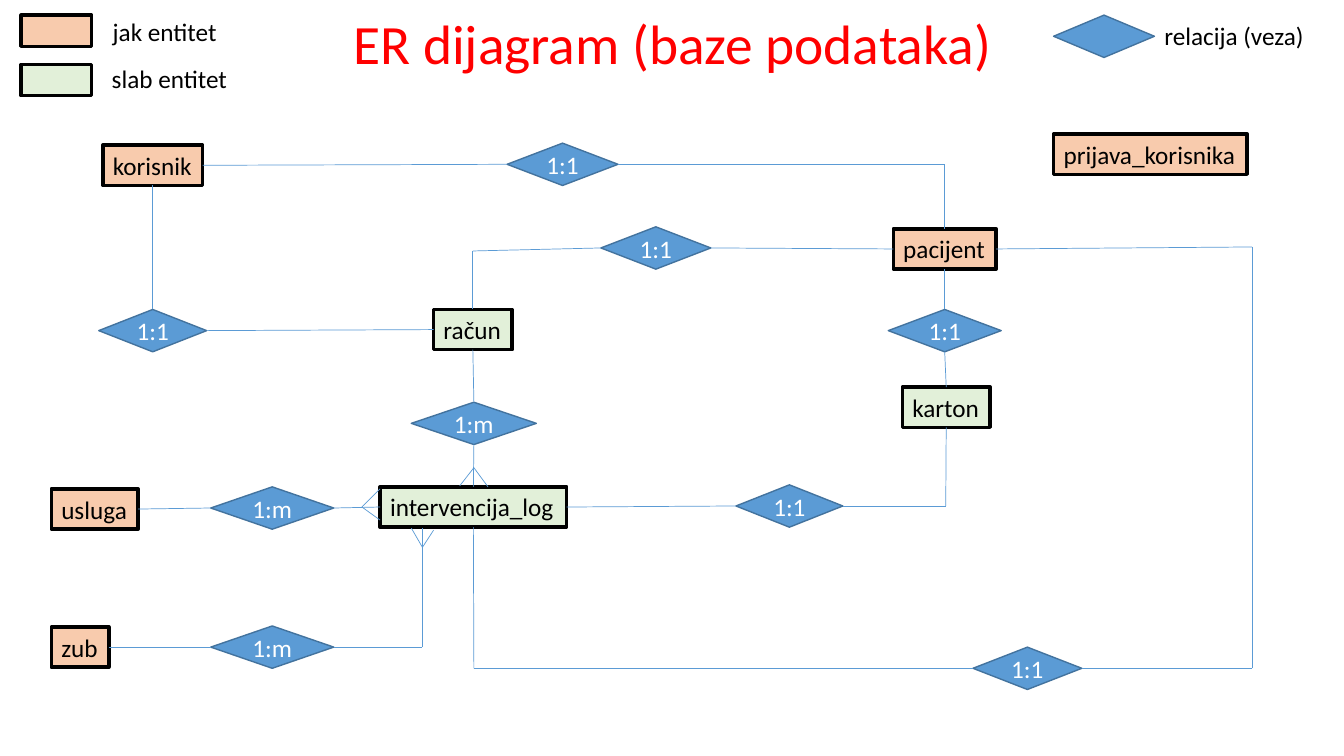
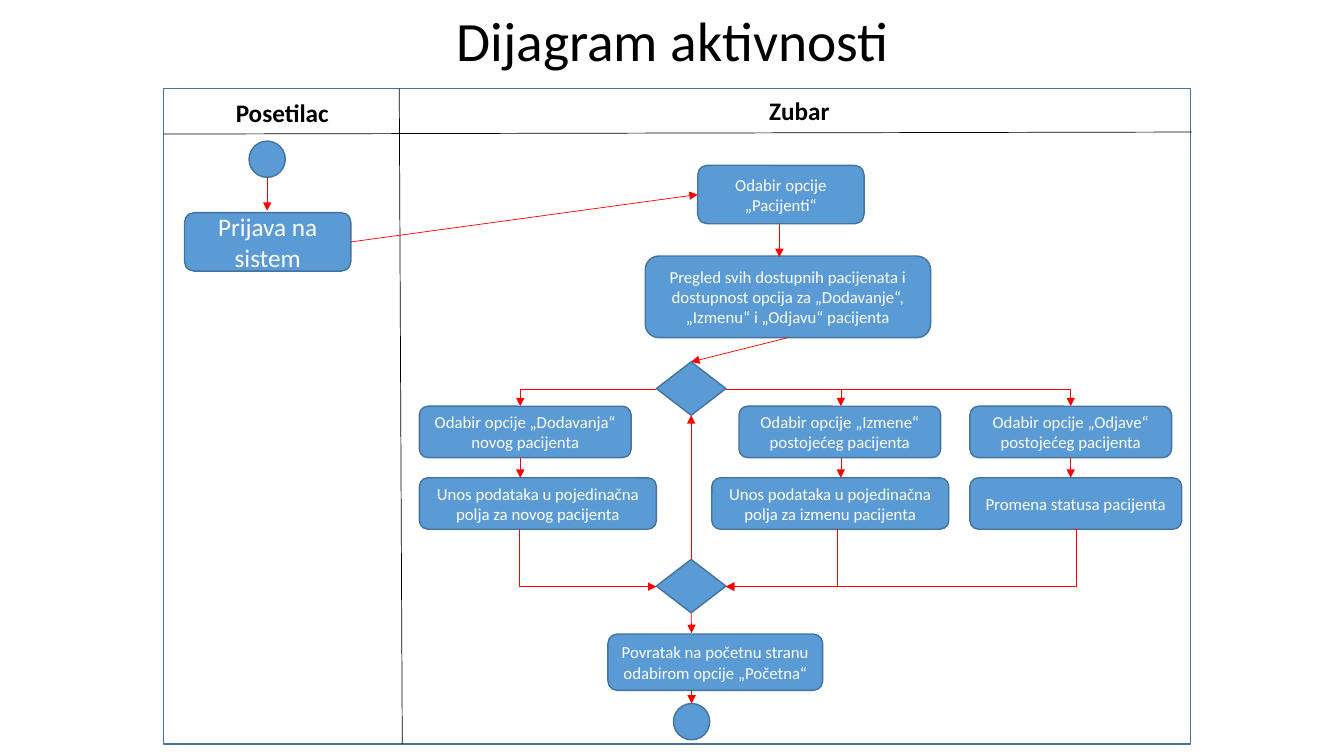
from lxml.etree import SubElement
from pptx import Presentation
from pptx.dml.color import RGBColor
from pptx.enum.shapes import MSO_CONNECTOR, MSO_SHAPE
from pptx.enum.text import MSO_ANCHOR, PP_ALIGN
from pptx.oxml.ns import qn
from pptx.shapes.base import BaseShape
from pptx.util import Inches, Pt

BLACK = RGBColor(0x00, 0x00, 0x00)
WHITE = RGBColor(0xFF, 0xFF, 0xFF)
RED = RGBColor(0xFF, 0x00, 0x00)
BLUE = RGBColor(0x5B, 0x9B, 0xD5)
DARK_BLUE = RGBColor(0x43, 0x73, 0x9E)
STRONG = RGBColor(0xF8, 0xCB, 0xAD)
WEAK = RGBColor(0xE2, 0xF0, 0xD9)
FONT = "Calibri"
TOP, LEFT, BOTTOM, RIGHT = range(4)


def write(frame, text, size=18, color=BLACK, bold=False, align=PP_ALIGN.LEFT,
          anchor=MSO_ANCHOR.TOP, wrap=False, spacing=1.0):
    """Put formatted text into a text frame."""
    frame.word_wrap = wrap
    frame.vertical_anchor = anchor
    paragraph = frame.paragraphs[0]
    paragraph.alignment = align
    paragraph.line_spacing = spacing
    run = paragraph.add_run()
    run.text = text
    run.font.name = FONT
    run.font.size = Pt(size)
    run.font.bold = bold
    run.font.color.rgb = color


class Diagram:
    """Draw styled diagram elements on the current slide."""

    def __init__(self, presentation):
        self.presentation = presentation
        self.slide = None

    def start(self, title, top, color):
        """Add a slide with its title."""
        self.slide = self.presentation.slides.add_slide(self.presentation.slide_layouts[6])
        self.label(title, 0.92, top, 11.5, 0.62, size=39.6, color=color, wrap=True,
                   align=PP_ALIGN.CENTER, anchor=MSO_ANCHOR.MIDDLE, spacing=0.9)

    def label(self, text, left, top, width, height=0.4, **style):
        """Add a text box."""
        box = self.slide.shapes.add_textbox(*map(Inches, (left, top, width, height)))
        write(box.text_frame, text, **style)

    def shape(self, kind, left, top, width, height, fill=BLUE, line=DARK_BLUE, weight=1):
        """Add a filled and outlined shape."""
        shape = self.slide.shapes.add_shape(kind, *map(Inches, (left, top, width, height)))
        shape.shadow.inherit = False
        shape.fill.solid()
        shape.fill.fore_color.rgb = fill
        shape.line.color.rgb = line
        shape.line.width = Pt(weight)
        return shape

    def entity(self, text, left, top, width, fill, height=0.4):
        """Add an entity box."""
        shape = self.shape(MSO_SHAPE.RECTANGLE, left, top, width, height, fill, BLACK, 2.5)
        if text:
            write(shape.text_frame, text)
        return shape

    def diamond(self, text, left, top, width, height=0.42):
        """Add a relation or decision diamond."""
        shape = self.shape(MSO_SHAPE.FLOWCHART_DECISION, left, top, width, height)
        if text:
            self.caption(shape, text)
        return shape

    def activity(self, text, left, top, width, height=0.51, size=12):
        """Add a rounded activity box."""
        shape = self.shape(MSO_SHAPE.ROUNDED_RECTANGLE, left, top, width, height)
        self.caption(shape, text, size)
        return shape

    def circle(self, left, top):
        """Add a start or end circle."""
        return self.shape(MSO_SHAPE.FLOWCHART_CONNECTOR, left, top, 0.36, 0.36)

    def caption(self, shape, text, size=18):
        """Centre white text in a shape."""
        write(shape.text_frame, text, size=size, color=WHITE, wrap=True,
              align=PP_ALIGN.CENTER, anchor=MSO_ANCHOR.MIDDLE)

    def line(self, start, end, color=BLUE, arrow=False, kind=MSO_CONNECTOR.STRAIGHT):
        """Join two ends, each a point or a shape with its side."""
        connector = self.slide.shapes.add_connector(kind, 0, 0, 0, 0)
        if isinstance(start[0], BaseShape):
            connector.begin_connect(*start)
        else:
            connector.begin_x, connector.begin_y = map(Inches, start)
        if isinstance(end[0], BaseShape):
            connector.end_connect(*end)
        else:
            connector.end_x, connector.end_y = map(Inches, end)
        connector.line.color.rgb = color
        connector.line.width = Pt(0.5)
        if arrow:
            SubElement(connector.line._get_or_add_ln(), qn("a:tailEnd"), type="triangle")
        SubElement(connector.element.spPr, qn("a:effectLst"))
        return connector

    def route(self, *ends):
        """Join a chain of ends with straight lines."""
        for start, end in zip(ends, ends[1:]):
            self.line(start, end)

    def arrow(self, start, end):
        """Add a straight red arrow."""
        self.line(start, end, RED, True)

    def elbow(self, start, end, across_first):
        """Add a red arrow with one right-angled corner."""
        connector = self.line(start, end, RED, True, MSO_CONNECTOR.ELBOW)
        properties = connector.element.spPr
        frame = properties.find(qn("a:xfrm"))
        if frame.get("flipH"):
            del frame.attrib["flipH"]
            frame.set("rot", "10800000")
            frame.set("flipV", "1")
        geometry = properties.find(qn("a:prstGeom"))
        if across_first:
            geometry.set("prst", "bentConnector2")
        else:
            SubElement(geometry.find(qn("a:avLst")), qn("a:gd"), name="adj1", fmla="val -600")


def build_entities(diagram):
    """Build the entity relation slide."""
    diagram.start("ER dijagram (baze podataka)", 0.15, RED)
    user = diagram.entity("korisnik", 1.02, 1.44, 0.99, STRONG)
    diagram.entity("prijava_korisnika", 10.45, 1.33, 1.92, STRONG)
    service = diagram.entity("usluga", 0.51, 4.85, 0.86, STRONG)
    tooth = diagram.entity("zub", 0.51, 6.22, 0.57, STRONG)
    patient = diagram.entity("pacijent", 8.86, 2.27, 1.02, STRONG)
    bill = diagram.entity("račun", 4.3, 3.07, 0.78, WEAK)
    log = diagram.entity("intervencija_log", 3.77, 4.83, 1.85, WEAK)
    record = diagram.entity("karton", 8.95, 3.84, 0.87, WEAK)

    bill_patient = diagram.diamond("1:1", 5.96, 2.25, 1.09)
    user_patient = diagram.diamond("1:1", 5.03, 1.42, 1.1)
    patient_record = diagram.diamond("1:1", 8.81, 3.07, 1.12)
    log_record = diagram.diamond("1:1", 7.3, 4.81, 1.06)
    log_patient = diagram.diamond("1:1", 9.65, 6.42, 1.08)
    bill_log = diagram.diamond("1:m", 4.08, 3.99, 1.24)
    user_bill = diagram.diamond("1:1", 0.98, 3.07, 1.07)
    service_log = diagram.diamond("1:m", 2.09, 4.83, 1.22)
    tooth_log = diagram.diamond("1:m", 2.09, 6.21, 1.22)

    diagram.route((user, RIGHT), (user_patient, LEFT))
    diagram.route((user_patient, RIGHT), (9.37, 1.63), (patient, TOP))
    diagram.route((user, BOTTOM), (user_bill, TOP))
    diagram.route((user_bill, RIGHT), (bill, LEFT))
    diagram.route((patient, LEFT), (bill_patient, RIGHT))
    diagram.route((bill_patient, LEFT), (4.69, 2.49), (bill, TOP))
    diagram.route((bill, BOTTOM), (bill_log, TOP))
    diagram.route((bill_log, BOTTOM), (log, TOP))
    diagram.route((service, RIGHT), (service_log, LEFT))
    diagram.route((service_log, RIGHT), (log, LEFT))
    diagram.route((log, RIGHT), (log_record, LEFT))
    diagram.route((log_record, RIGHT), (9.38, 5.02), (record, BOTTOM))
    diagram.route((patient, BOTTOM), (patient_record, TOP))
    diagram.route((patient_record, BOTTOM), (record, TOP))
    diagram.route((tooth, RIGHT), (tooth_log, LEFT))
    diagram.route((tooth_log, RIGHT), (4.19, 6.42), (4.19, 5.24))
    diagram.route((log, BOTTOM), (4.7, 6.63), (log_patient, LEFT))
    diagram.route((log_patient, RIGHT), (12.42, 6.63), (12.42, 2.45), (patient, RIGHT))
    diagram.route((4.56, 4.82), (4.7, 4.64), (4.84, 4.83))
    diagram.route((4.08, 5.24), (4.19, 5.43), (4.3, 5.26))
    diagram.route((3.77, 4.85), (3.59, 5.03), (3.77, 5.16))

    diagram.entity("", 0.21, 0.15, 0.7, STRONG, 0.31)
    diagram.entity("", 0.21, 0.64, 0.7, WEAK, 0.31)
    diagram.diamond("", 10.45, 0.15, 1)
    diagram.label("jak entitet", 1.02, 0.11, 1.24)
    diagram.label("slab entitet", 1.01, 0.58, 1.36)
    diagram.label("relacija (veza)", 11.45, 0.15, 1.6)


def build_activities(diagram):
    """Build the activity slide."""
    diagram.start("Dijagram aktivnosti", 0.12, BLACK)
    diagram.shape(MSO_SHAPE.RECTANGLE, 1.62, 0.88, 10.19, 6.5, WHITE)
    diagram.line((1.62, 1.33), (11.82, 1.31), BLACK)
    diagram.line((3.96, 0.88), (3.99, 7.38), BLACK)
    diagram.label("Posetilac", 2.24, 0.92, 1.13, bold=True)
    diagram.label("Zubar", 7.53, 0.9, 0.81, bold=True)

    diagram.circle(2.47, 1.4)
    login = diagram.activity("Prijava na sistem", 1.83, 2.11, 1.65, 0.58, 18)
    patients = diagram.activity("Odabir opcije „Pacijenti“", 6.92, 1.64, 1.65, 0.58)
    overview = diagram.activity(
        "Pregled svih dostupnih pacijenata i dostupnost opcija za „Dodavanje“, "
        "„Izmenu“ i „Odjavu“ pacijenta", 6.4, 2.54, 2.83, 0.81)
    split = diagram.diamond("", 6.51, 3.59, 0.69, 0.53)
    merge = diagram.diamond("", 6.51, 5.55, 0.69, 0.53)
    diagram.activity("Povratak na početnu stranu odabirom opcije „Početna“",
                     6.03, 6.29, 2.13, 0.56)
    diagram.circle(6.68, 6.98)

    diagram.arrow((2.65, 1.76), (2.65, 2.09))
    diagram.arrow((login, RIGHT), (patients, LEFT))
    diagram.arrow((7.73, 2.22), (7.73, 2.55))
    diagram.arrow((overview, BOTTOM), (split, TOP))
    diagram.arrow((merge, TOP), (split, BOTTOM))
    diagram.arrow((merge, BOTTOM), (6.86, 6.28))
    diagram.arrow((6.86, 6.85), (6.86, 6.98))

    branches = (
        ("Odabir opcije „Dodavanja“ novog pacijenta", 4.16, 2.1,
         "Unos podataka u pojedinačna polja za novog pacijenta", 4.16, 2.35,
         5.16, 5.16, 6.51),
        ("Odabir opcije „Izmene“ postojećeg pacijenta", 7.33, 2,
         "Unos podataka u pojedinačna polja za izmenu pacijenta", 7.06, 2.35,
         8.34, 8.3, 7.2),
        ("Odabir opcije „Odjave“ postojećeg pacijenta", 9.62, 2,
         "Promena statusa pacijenta", 9.62, 2.1,
         10.62, 10.65, 7.2),
    )
    for option, left, width, action, action_left, action_width, entry, leave, tip in branches:
        diagram.activity(option, left, 4.03, width)
        diagram.activity(action, action_left, 4.74, action_width)
        diagram.elbow((tip, 3.86), (entry, 4.03), across_first=True)
        diagram.arrow((entry, 4.54), (entry, 4.74))
        diagram.elbow((leave, 5.25), (tip, 5.82), across_first=False)


def main():
    """Build and save the presentation."""
    presentation = Presentation()
    presentation.slide_width = Inches(13.33)
    presentation.slide_height = Inches(7.5)
    diagram = Diagram(presentation)
    build_entities(diagram)
    build_activities(diagram)
    presentation.save("out.pptx")


if __name__ == "__main__":
    main()
